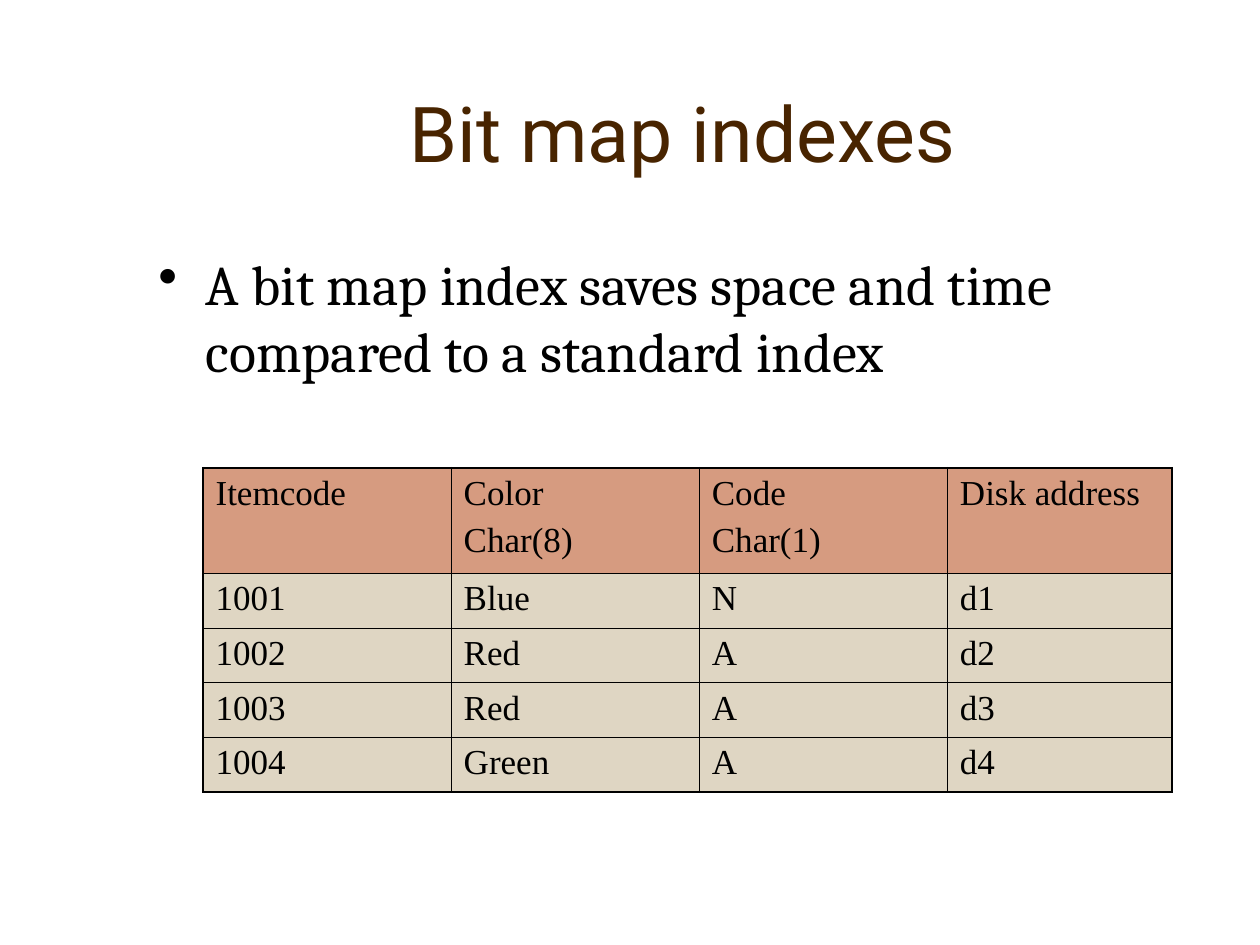
from dataclasses import dataclass

from lxml.etree import SubElement
from pptx import Presentation
from pptx.dml.color import RGBColor
from pptx.enum.text import MSO_ANCHOR as Anchor, PP_ALIGN as Align
from pptx.oxml.ns import qn
from pptx.util import Pt

BLACK = RGBColor(0x00, 0x00, 0x00)
BROWN = RGBColor(0x48, 0x24, 0x00)
HEADER_FILL = RGBColor(0xD6, 0x9B, 0x80)
BODY_FILL = RGBColor(0xDF, 0xD6, 0xC3)

OUTER_LINE, INNER_LINE = Pt(1.08), Pt(0.45)
BULLET_INDENT = Pt(27)

COLUMN_WIDTHS = [141.8, 141.8, 141.8, 128.2]
ROW_HEIGHTS = [59.8] + [31.1] * 4
ROWS = [
    ["Itemcode", "Color\nChar(8)", "Code\nChar(1)", "Disk address"],
    ["1001", "Blue", "N", "d1"],
    ["1002", "Red", "A", "d2"],
    ["1003", "Red", "A", "d3"],
    ["1004", "Green", "A", "d4"],
]


@dataclass(frozen=True)
class Box:
    left: float
    top: float
    width: float
    height: float

    def lengths(self) -> list[Pt]:
        return [Pt(n) for n in (self.left, self.top, self.width, self.height)]


TITLE_BOX = Box(84.2, 30.2, 612, 90)
BODY_BOX = Box(83.5, 139, 612, 324)
TABLE_BOX = Box(116, 267.3, sum(COLUMN_WIDTHS), sum(ROW_HEIGHTS))


def add_bullet(paragraph) -> None:
    properties = paragraph._p.get_or_add_pPr()
    properties.set("marL", str(BULLET_INDENT))
    properties.set("indent", str(-BULLET_INDENT))
    color = SubElement(properties, qn("a:buClr"))
    SubElement(color, qn("a:srgbClr"), val=str(BLACK))
    SubElement(properties, qn("a:buChar"), char="•")


def write_text(frame, text: str, *, font: str, size: float, color: RGBColor = BLACK,
               align: Align = Align.LEFT, gap: float = 0, bullet: bool = False) -> None:
    """Write one paragraph per line of text, with gap points between them."""
    frame.word_wrap = True
    for index, line in enumerate(text.split("\n")):
        paragraph = frame.add_paragraph() if index else frame.paragraphs[0]
        if bullet:
            add_bullet(paragraph)
        paragraph.alignment = align
        if index:
            paragraph.space_before = Pt(gap)
        run = paragraph.add_run()
        run.text = line
        run.font.name = font
        run.font.size = Pt(size)
        run.font.color.rgb = color


def add_text_box(slide, box: Box, text: str, anchor: Anchor = Anchor.TOP, **text_format) -> None:
    frame = slide.shapes.add_textbox(*box.lengths()).text_frame
    frame.vertical_anchor = anchor
    write_text(frame, text, **text_format)


def set_borders(cell, row: int, column: int) -> None:
    """Draw heavier lines on the edges of the table than inside it."""
    outer_edges = {
        "a:lnL": column == 0,
        "a:lnR": column == len(COLUMN_WIDTHS) - 1,
        "a:lnT": row == 0,
        "a:lnB": row == len(ROWS) - 1,
    }
    properties = cell._tc.get_or_add_tcPr()
    for tag, is_outer in outer_edges.items():
        line = SubElement(properties, qn(tag), w=str(OUTER_LINE if is_outer else INNER_LINE))
        fill = SubElement(line, qn("a:solidFill"))
        SubElement(fill, qn("a:srgbClr"), val=str(BLACK))


def add_index_table(slide) -> None:
    table = slide.shapes.add_table(len(ROWS), len(COLUMN_WIDTHS), *TABLE_BOX.lengths()).table
    table.first_row = table.horz_banding = False
    for column, width in zip(table.columns, COLUMN_WIDTHS):
        column.width = Pt(width)
    for row, height in zip(table.rows, ROW_HEIGHTS):
        row.height = Pt(height)
    for row_index, values in enumerate(ROWS):
        for column_index, value in enumerate(values):
            cell = table.cell(row_index, column_index)
            set_borders(cell, row_index, column_index)
            cell.fill.solid()
            cell.fill.fore_color.rgb = BODY_FILL if row_index else HEADER_FILL
            write_text(cell.text_frame, value, font="Times New Roman", size=20, gap=5)


def main() -> None:
    presentation = Presentation()
    presentation.slide_width, presentation.slide_height = Pt(720), Pt(540)
    slide = presentation.slides.add_slide(presentation.slide_layouts[6])
    add_text_box(slide, TITLE_BOX, "Bit map indexes", Anchor.MIDDLE,
                 font="Roboto", size=44, color=BROWN, align=Align.CENTER)
    add_text_box(slide, BODY_BOX,
                 "A bit map index saves space and time compared to a standard index",
                 font="Cambria", size=32, bullet=True)
    add_index_table(slide)
    presentation.save("out.pptx")


if __name__ == "__main__":
    main()
